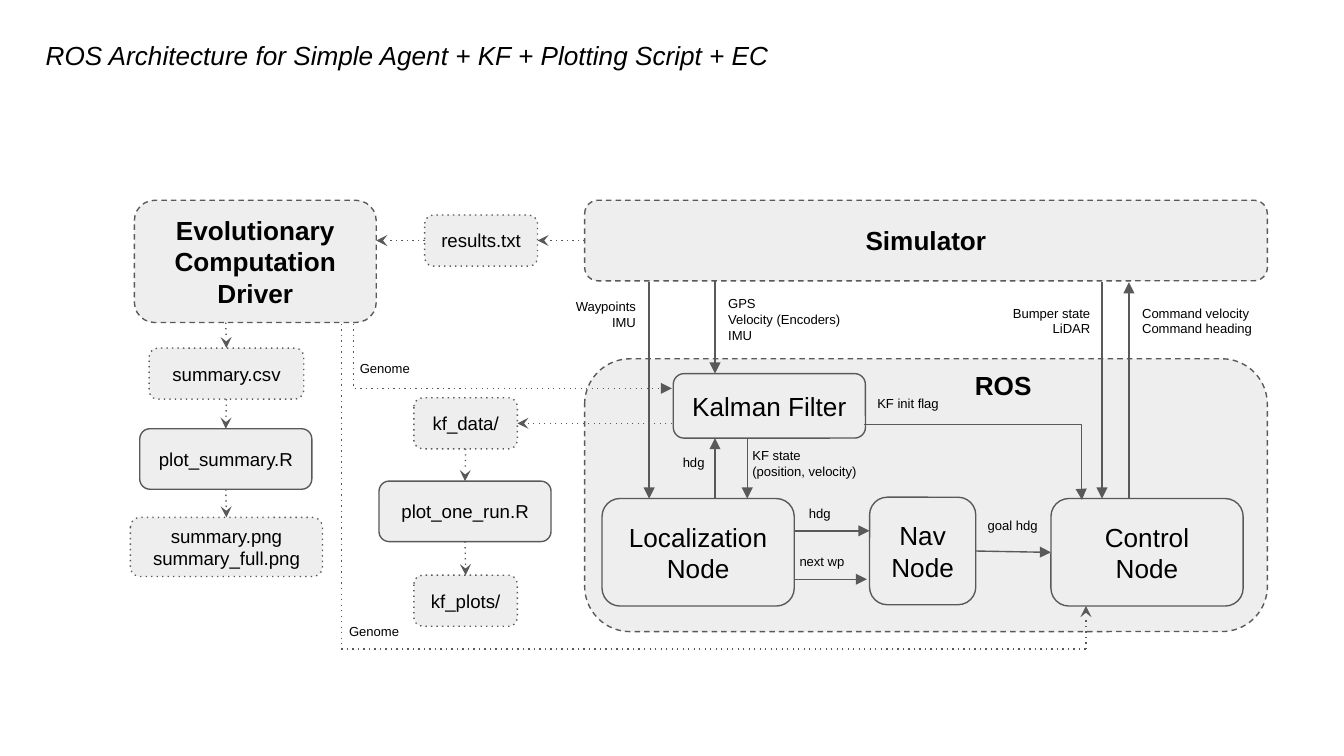
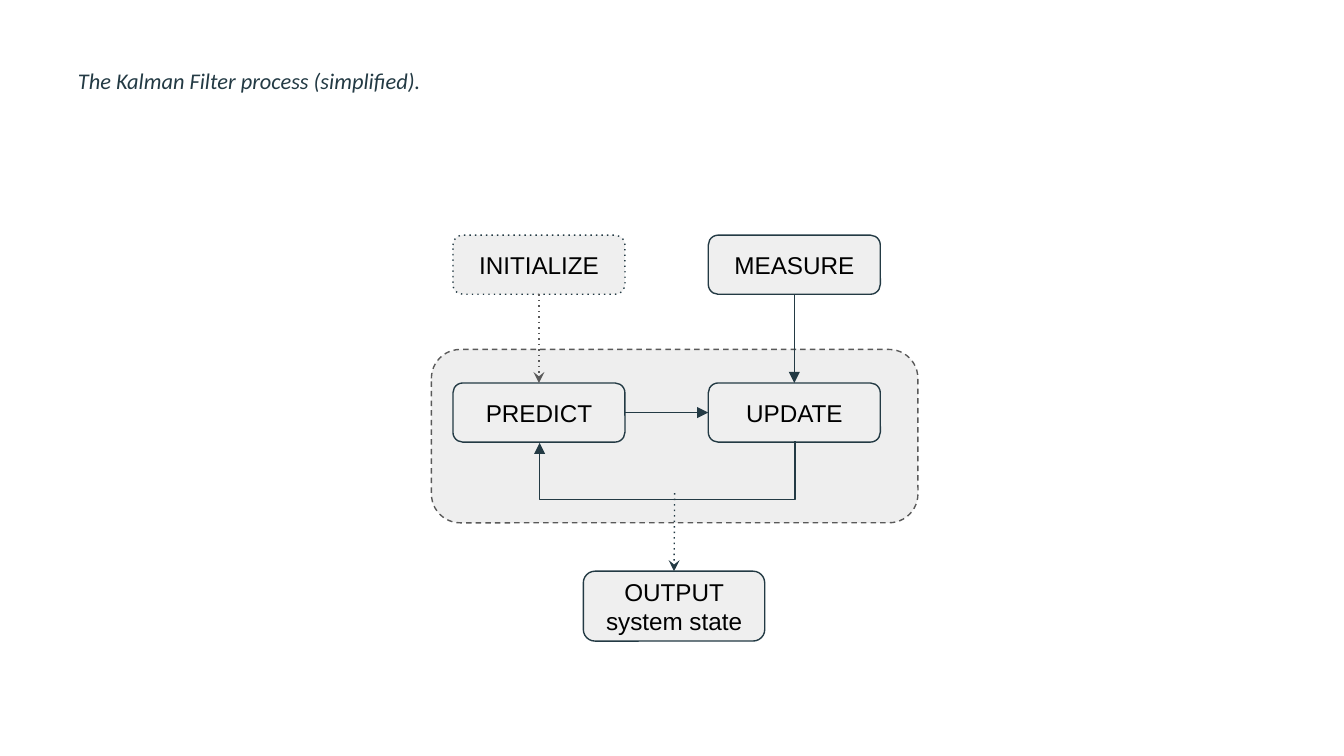
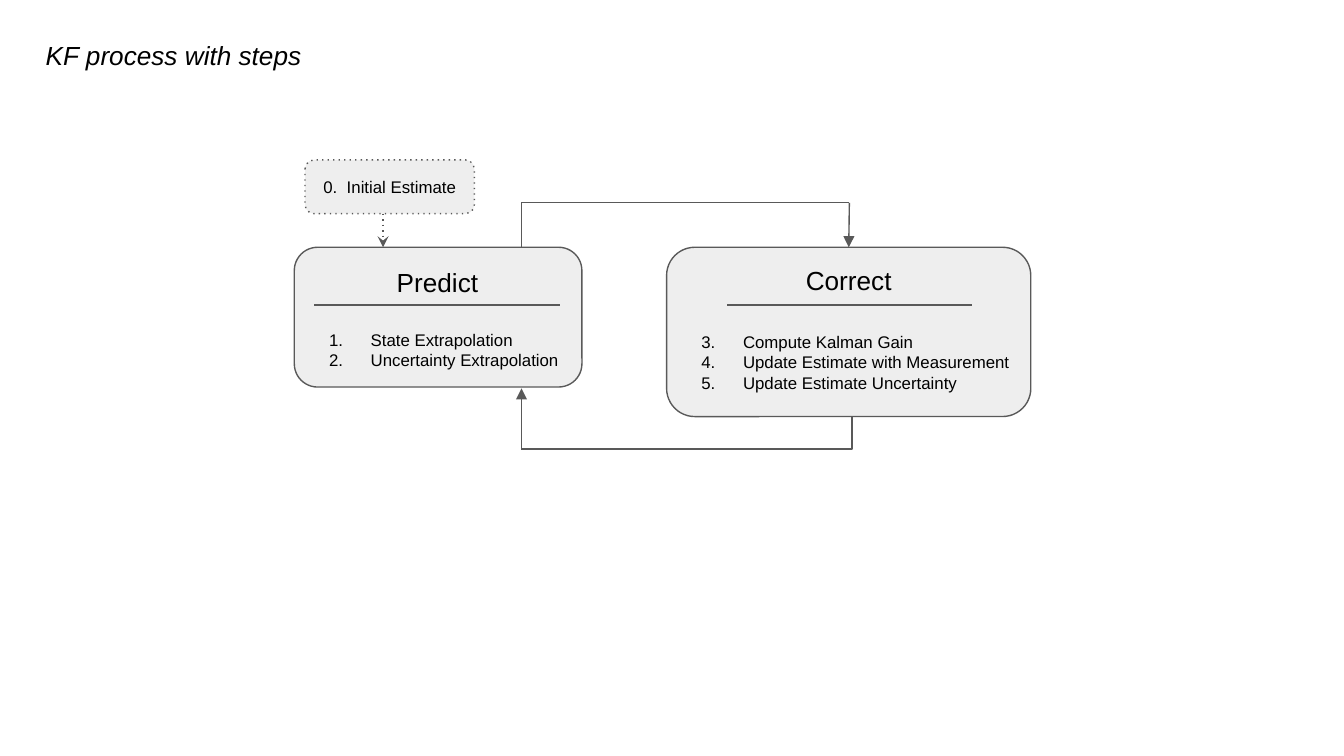
import dataclasses
import typing

import pptx
import pptx.dml.color
import pptx.enum.shapes
import pptx.enum.text
import pptx.oxml.ns
import pptx.util
from lxml import etree

Inches = pptx.util.Inches
Pt = pptx.util.Pt
qn = pptx.oxml.ns.qn
RGB = pptx.dml.color.RGBColor
Align = pptx.enum.text.PP_ALIGN
Anchor = pptx.enum.text.MSO_ANCHOR
Fit = pptx.enum.text.MSO_AUTO_SIZE
Kind = pptx.enum.shapes.MSO_CONNECTOR
LEFT, MID, RIGHT = Align.LEFT, Align.CENTER, Align.RIGHT
SIDES = {"top": 0, "left": 1, "bottom": 2, "right": 3}


# Shared look
@dataclasses.dataclass(frozen=True)
class Theme:
    ink: str = "000000"
    gray: str = "595959"
    navy: str = "233A44"
    fill: str = "EEEEEE"
    pale: str = "EFEFEF"
    font: str = "Arial"
    soft: str = "Calibri"
    head: float = 14
    step: float = 13
    sub: float = 12
    file: float = 10
    item: float = 9
    note: float = 7
    rule: float = 0.75
    inset: float = 0.1


THEME = Theme()
Place = tuple[float, float, float, float]
Join = typing.Optional[tuple[str, str]]


# Repeated parts
@dataclasses.dataclass
class Box:
    key: str
    at: Place
    text: str = ""
    size: float = THEME.file
    dash: str = ""
    bold: bool = False
    color: str = THEME.gray
    fill: str = THEME.fill


@dataclasses.dataclass
class Line:
    start: tuple[float, float]
    end: tuple[float, float]
    dash: str = ""
    tip: str = "triangle"
    begin: Join = None
    stop: Join = None
    bend: typing.Optional[float] = None
    color: str = THEME.gray


@dataclasses.dataclass
class Note:
    text: str
    at: Place
    align: Align = LEFT
    size: float = THEME.note
    bold: bool = False
    first: int = 0


# Drawing
def write(shape, text: str, size: float, align: Align, anchor: Anchor,
          font: str = THEME.font, color: str = THEME.ink,
          bold: bool = False, slant: bool = False, fit: Fit = Fit.NONE) -> None:
    frame = shape.text_frame
    frame.text = text
    frame.word_wrap = True
    frame.auto_size = fit
    frame.vertical_anchor = anchor
    frame.margin_left = frame.margin_right = Inches(THEME.inset)
    frame.margin_top = frame.margin_bottom = Inches(THEME.inset)
    for para in frame.paragraphs:
        para.alignment = align
        for run in para.runs:
            run.font.name, run.font.size = font, Pt(size)
            run.font.bold, run.font.italic = bold, slant
            run.font.color.rgb = RGB.from_string(color)


def stroke(shape, color: str, dash: str, tip: str = "") -> None:
    shape.line.color.rgb = RGB.from_string(color)
    shape.line.width = Pt(THEME.rule)
    edge = shape._element.spPr.find(qn("a:ln"))
    if dash:
        etree.SubElement(edge, qn("a:prstDash"), val=dash)
    if tip:
        etree.SubElement(edge, qn("a:tailEnd"), type=tip)


def number(frame, first: int) -> None:
    for para in frame.paragraphs:
        props = para._p.get_or_add_pPr()
        props.set("marL", str(Inches(0.5)))
        props.set("indent", str(Inches(-0.31)))
        color = etree.SubElement(props, qn("a:buClr"))
        etree.SubElement(color, qn("a:srgbClr"), val=THEME.ink)
        etree.SubElement(props, qn("a:buAutoNum"), type="arabicPeriod", startAt=str(first))


def draw_box(slide, box: Box):
    kind = pptx.enum.shapes.MSO_SHAPE.ROUNDED_RECTANGLE
    shape = slide.shapes.add_shape(kind, *map(Inches, box.at))
    shape.shadow.inherit = False
    shape.fill.solid()
    shape.fill.fore_color.rgb = RGB.from_string(box.fill)
    stroke(shape, box.color, box.dash)
    if box.text:
        write(shape, box.text, box.size, MID, Anchor.MIDDLE, bold=box.bold)
    return shape


def draw_line(slide, line: Line, shapes: dict):
    kind = Kind.STRAIGHT if line.bend is None else Kind.ELBOW
    link = slide.shapes.add_connector(kind, *map(Inches, line.start + line.end))
    if line.begin:
        link.begin_connect(shapes[line.begin[0]], SIDES[line.begin[1]])
    if line.stop:
        link.end_connect(shapes[line.stop[0]], SIDES[line.stop[1]])
    if line.bend is not None:
        shape = link._element.spPr.find(qn("a:prstGeom"))
        guides = shape.find(qn("a:avLst"))
        if guides is None:
            guides = etree.SubElement(shape, qn("a:avLst"))
        etree.SubElement(guides, qn("a:gd"), name="adj1",
                         fmla=f"val {round(line.bend * 100000)}")
    stroke(link, line.color, line.dash, line.tip)
    etree.SubElement(link._element.spPr, qn("a:effectLst"))
    return link


def draw_note(slide, note: Note) -> None:
    shape = slide.shapes.add_textbox(*map(Inches, note.at))
    write(shape, note.text, note.size, note.align, Anchor.TOP, bold=note.bold,
          fit=Fit.SHAPE_TO_FIT_TEXT)
    if note.first:
        number(shape.text_frame, note.first)


def draw(slide, boxes: list[Box], lines: list[Line], notes: list[Note]) -> dict:
    shapes = {box.key: draw_box(slide, box) for box in boxes}
    for line in lines:
        draw_line(slide, line, shapes)
    for note in notes:
        draw_note(slide, note)
    return shapes


def start(deck, title: str, at: Place = (0.24, 0.19, 7.26, 0.44),
          size: float = THEME.head, font: str = THEME.font, color: str = THEME.ink):
    slide = deck.slides.add_slide(deck.slide_layouts[5])
    head = slide.shapes.title
    head.left, head.top, head.width, head.height = map(Inches, at)
    write(head, title, size, LEFT, Anchor.TOP, font, color, slant=True)
    return slide


# Slide 1: system diagram
def add_system(deck) -> None:
    slide = start(deck, "ROS Architecture for Simple Agent + KF + Plotting Script + EC")
    big = THEME.head
    boxes = [
        Box("ros", (4.35, 2.67, 5.08, 2.03), dash="dash"),
        Box("sim", (4.35, 1.49, 5.08, 0.6), "Simulator", big, "dash", True),
        Box("driver", (1, 1.49, 1.8, 0.91), "Evolutionary Computation\nDriver", big, "dash", True),
        Box("local", (4.48, 3.71, 1.43, 0.8), "Localization\nNode", big),
        Box("nav", (6.47, 3.7, 0.79, 0.8), "Nav\nNode", big),
        Box("control", (7.82, 3.71, 1.43, 0.8), "Control\nNode", big),
        Box("filter", (5.01, 2.78, 1.43, 0.48), "Kalman Filter", big),
        Box("result", (3.16, 1.6, 0.84, 0.38), "results.txt", dash="dot"),
        Box("data", (3.08, 2.96, 0.77, 0.38), "kf_data/", dash="dot"),
        Box("plot", (2.82, 3.58, 1.28, 0.45), "plot_one_run.R"),
        Box("plots", (3.08, 4.28, 0.77, 0.38), "kf_plots/", dash="dot"),
        Box("table", (1.11, 2.59, 1.15, 0.38), "summary.csv", dash="dot"),
        Box("script", (1.04, 3.19, 1.28, 0.45), "plot_summary.R"),
        Box("image", (0.97, 3.85, 1.43, 0.44), "summary.png\nsummary_full.png", dash="dot"),
    ]
    lines = [
        # Signals between the nodes
        Line((4.83, 2.1), (4.83, 3.71)),
        Line((5.32, 2.09), (5.32, 2.78)),
        Line((8.2, 2.1), (8.2, 3.71)),
        Line((8.4, 3.71), (8.4, 2.1)),
        Line((5.32, 3.71), (5.32, 3.26)),
        Line((5.56, 3.26), (5.56, 3.71)),
        Line((5.91, 3.95), (6.47, 3.95)),
        Line((5.91, 4.31), (6.45, 4.31)),
        Line((7.26, 4.1), (7.82, 4.11), begin=("nav", "right"), stop=("control", "left")),
        Line((6.43, 3.16), (8.05, 3.72), bend=0.997),
        # Genome routes
        Line((2.63, 2.41), (5, 2.89), "dot", bend=0),
        Line((2.54, 2.41), (2.54, 4.83), "dot", ""),
        Line((2.54, 4.83), (8.08, 4.83), "dot", ""),
        Line((8.08, 4.83), (8.08, 4.51), "dot", "stealth"),
        # File flow
        Line((4.35, 1.79), (4, 1.79), "dot", "stealth", ("sim", "left"), ("result", "right")),
        Line((3.16, 1.79), (2.8, 1.79), "dot", "stealth", ("result", "left")),
        Line((5, 3.15), (3.85, 3.15), "dot", "stealth", stop=("data", "right")),
        Line((1.68, 2.4), (1.68, 2.59), "dot", "stealth", stop=("table", "top")),
    ]
    for chain in (("data", "plot", "plots"), ("table", "script", "image")):
        for above, below in zip(chain, chain[1:]):
            lines.append(Line((0, 0), (0, 0), "dot", "stealth",
                              (above, "bottom"), (below, "top")))
    notes = [
        Note("Waypoints\nIMU", (4.16, 2.12, 0.67, 0.44), RIGHT),
        Note("GPS\nVelocity (Encoders)\nIMU", (5.32, 2.1, 1.09, 0.56)),
        Note("Bumper state\nLiDAR", (7.37, 2.17, 0.84, 0.44), RIGHT),
        Note("Command velocity\nCommand heading", (8.4, 2.17, 1.04, 0.44)),
        Note("ROS", (7.08, 2.65, 0.77, 0.44), MID, big, True),
        Note("KF init flag", (6.43, 2.88, 0.7, 0.32)),
        Note("hdg", (4.94, 3.32, 0.4, 0.32), RIGHT),
        Note("KF state\n(position, velocity)", (5.5, 3.23, 1.04, 0.44)),
        Note("hdg", (5.88, 3.7, 0.44, 0.32), MID),
        Note("next wp", (5.84, 4.06, 0.55, 0.32), MID),
        Note("goal hdg", (7.22, 3.79, 0.63, 0.32), MID),
        Note("Genome", (2.58, 2.62, 0.63, 0.32)),
        Note("Genome", (2.5, 4.58, 0.63, 0.32)),
    ]
    draw(slide, boxes, lines, notes)


# Slide 2: simple loop
def add_loop(deck) -> None:
    slide = start(deck, "The Kalman Filter process (simplified).", (0.48, 0.37, 3.04, 0.42),
                  THEME.sub, THEME.soft, THEME.navy)
    slide.shapes.title.text_frame.paragraphs[0].line_spacing = 1.15
    navy = THEME.navy
    look = {"size": THEME.step, "color": navy, "fill": THEME.pale}
    boxes = [Box("frame", (3.21, 2.6, 3.62, 1.29), dash="dash")]
    grid = (("INITIALIZE", "MEASURE"), ("PREDICT", "UPDATE"))
    for row, names in enumerate(grid):
        for col, name in enumerate(names):
            place = (3.37 + 1.9 * col, 1.75 + 1.1 * row, 1.28, 0.44)
            dash = "dot" if name == "INITIALIZE" else ""
            boxes.append(Box(name, place, name, dash=dash, **look))
    boxes.append(Box("OUTPUT", (4.34, 4.25, 1.35, 0.52), "OUTPUT\nsystem state", **look))
    lines = [
        Line((4.01, 2.19), (4.01, 2.85), "dot", "stealth",
             ("INITIALIZE", "bottom"), ("PREDICT", "top")),
        Line((5.91, 2.19), (5.91, 2.85), begin=("MEASURE", "bottom"),
             stop=("UPDATE", "top"), color=navy),
        Line((4.65, 3.07), (5.27, 3.07), begin=("PREDICT", "right"),
             stop=("UPDATE", "left"), color=navy),
        Line((5.02, 3.67), (5.02, 4.25), "dot", "stealth", stop=("OUTPUT", "top"), color=navy),
    ]
    shapes = draw(slide, boxes, lines, [])

    # Return path: a thin elbow turned a quarter, its bend 0.44 inches below
    back = draw_line(slide, Line((5.91, 3.29), (4.01, 3.29), begin=("UPDATE", "bottom"),
                                 stop=("PREDICT", "bottom"), bend=44, color=navy), shapes)
    back.left, back.top = Inches(4.96), Inches(2.34)
    back.width, back.height = Inches(0.01), Inches(1.9)
    form = back._element.spPr.find(qn("a:xfrm"))
    form.attrib.pop("flipH", None)
    form.attrib.pop("flipV", None)
    form.set("rot", str(90 * 60000))


# Slide 3: numbered steps
def add_steps(deck) -> None:
    slide = start(deck, "KF process with steps")
    boxes = [
        Box("predict", (2.19, 1.84, 2.14, 1.04)),
        Box("correct", (4.96, 1.84, 2.71, 1.26)),
        Box("first", (2.27, 1.19, 1.26, 0.4), "0.  Initial Estimate", THEME.item, "dot"),
    ]
    lines = [
        Line((3.88, 1.84), (6.32, 1.51), tip="", bend=0),
        Line((6.32, 1.51), (6.32, 1.84), stop=("correct", "top")),
        Line((6.34, 3.1), (3.88, 3.34), tip="", bend=0),
        Line((3.88, 3.34), (3.88, 2.89)),
        Line((2.85, 1.59), (2.85, 1.84), "dot", "stealth"),
        Line((2.34, 2.27), (4.17, 2.27), tip=""),
        Line((5.41, 2.27), (7.23, 2.27), tip=""),
    ]
    notes = [
        Note("Predict", (2.65, 1.88, 1.21, 0.44), MID, THEME.head),
        Note("Correct", (5.71, 1.87, 1.21, 0.44), MID, THEME.head),
        Note("State Extrapolation\nUncertainty Extrapolation",
             (2.16, 2.35, 2.2, 0.5), size=THEME.item, first=1),
        Note("Compute Kalman Gain\nUpdate Estimate with Measurement\nUpdate Estimate Uncertainty",
             (4.93, 2.37, 2.75, 0.66), size=THEME.item, first=3),
    ]
    draw(slide, boxes, lines, notes)


def main() -> None:
    deck = pptx.Presentation()
    # Widescreen, 16 to 9
    deck.slide_width = Inches(10)
    deck.slide_height = deck.slide_width * 9 // 16
    add_system(deck)
    add_loop(deck)
    add_steps(deck)
    deck.save("out.pptx")


if __name__ == "__main__":
    main()
